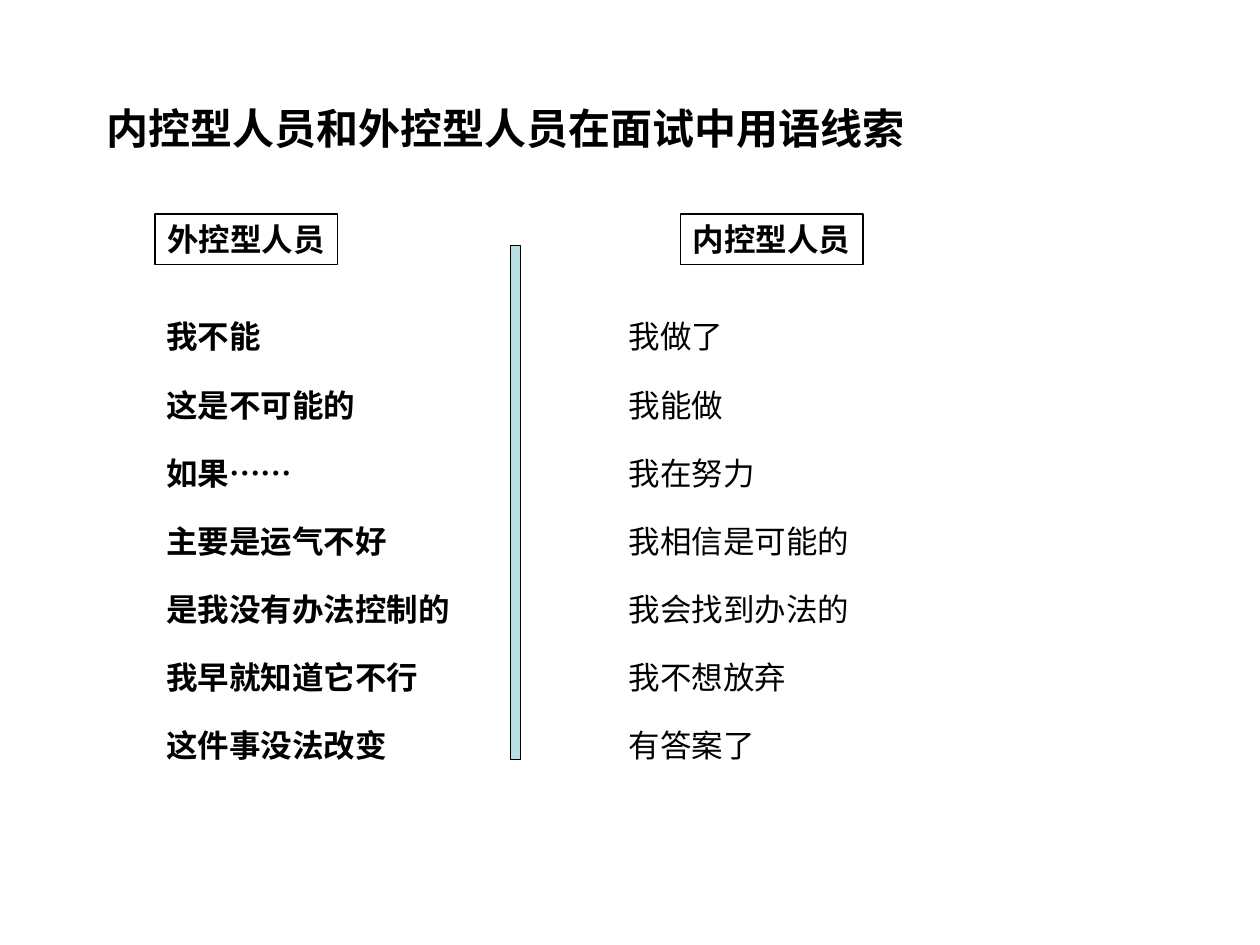
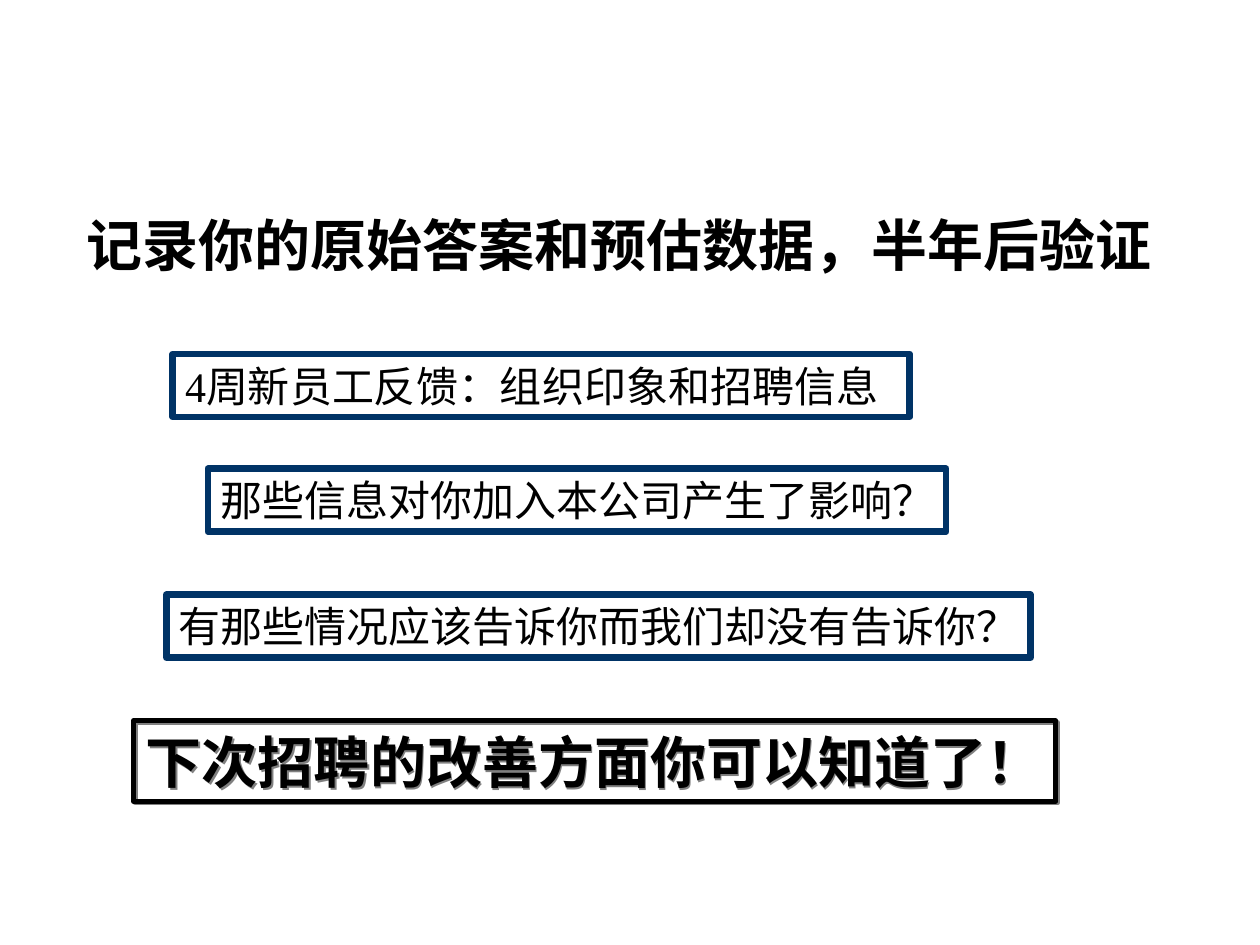
from lxml.etree import SubElement
from pptx import Presentation
from pptx.dml.color import RGBColor
from pptx.enum.shapes import MSO_SHAPE as SHAPE
from pptx.enum.text import MSO_ANCHOR as ANCHOR, PP_ALIGN as ALIGN
from pptx.oxml.ns import qn
from pptx.util import Emu, Pt

BLACK = RGBColor(0x00, 0x00, 0x00)
NAVY = RGBColor(0x00, 0x33, 0x66)
PALE_TEAL = RGBColor(0xBB, 0xE0, 0xE3)
SHADOW_GREY = RGBColor(0x80, 0x80, 0x80)

LATIN_FONT = "Times New Roman"
CHINESE_FONT = "Noto Sans CJK SC"
SIDE_INSET = 10
ROW_PITCH = Pt(38.9)

EXTERNAL_PHRASES = [
    "我不能", "这是不可能的", "如果……", "主要是运气不好",
    "是我没有办法控制的", "我早就知道它不行", "这件事没法改变",
]
INTERNAL_PHRASES = [
    "我做了", "我能做", "我在努力", "我相信是可能的",
    "我会找到办法的", "我不想放弃", "有答案了",
]
FEEDBACK_QUESTIONS = [
    ("4周新员工反馈：组织印象和招聘信息", (137, 281, 585, 50)),
    ("那些信息对你加入本公司产生了影响？", (165, 372, 586, 50)),
    ("有那些情况应该告诉你而我们却没有告诉你？", (132, 472, 686, 50)),
]


def px(length):
    """Turn px, 100 to the inch, into EMU."""
    return Emu(length * 9144)


def place(box):
    return [px(length) for length in box]


def write(shape, lines, size, bold=False, font_name=LATIN_FONT, line_spacing=None,
          anchor=ANCHOR.MIDDLE):
    """Fill a shape with one left-aligned paragraph for each line."""
    frame = shape.text_frame
    frame.word_wrap = True
    frame.vertical_anchor = anchor
    frame.margin_left = px(SIDE_INSET)
    frame.margin_right = frame.margin_top = frame.margin_bottom = 0
    frame.text = "\n".join(lines)
    for paragraph in frame.paragraphs:
        paragraph.alignment = ALIGN.LEFT
        paragraph.line_spacing = line_spacing
        for run in paragraph.runs:
            font = run.font
            font.name, font.size, font.bold = font_name, Pt(size), bold
            font.color.rgb = BLACK
            east_asian = SubElement(font._element, qn("a:ea"))
            east_asian.set("typeface", CHINESE_FONT)


def add_title(slide, box, text, size):
    write(slide.shapes.add_textbox(*place(box)), [text], size, bold=True)


def add_rectangle(slide, box, line_color, line_width, fill_color=None):
    rectangle = slide.shapes.add_shape(SHAPE.RECTANGLE, *place(box))
    rectangle.shadow.inherit = False
    rectangle.line.color.rgb = line_color
    rectangle.line.width = Pt(line_width)
    if fill_color is None:
        rectangle.fill.background()
    else:
        rectangle.fill.solid()
        rectangle.fill.fore_color.rgb = fill_color
    return rectangle


def add_drop_shadow(shape):
    effects = shape._element.spPr.find(qn("a:effectLst"))
    shadow = SubElement(effects, qn("a:outerShdw"), dist=str(Pt(1.4)), dir="2700000",
                        algn="ctr", rotWithShape="0")
    SubElement(shadow, qn("a:srgbClr"), val=str(SHADOW_GREY))


def add_phrase_column(slide, box, heading, heading_offset, phrases, bold):
    """Place a framed heading at the top of the box and the phrases below it."""
    left, top, width, height = box
    label = add_rectangle(slide, (left + heading_offset, top, 145, 40), BLACK, 1)
    write(label, [heading], 18, bold=True)
    phrase_box = slide.shapes.add_textbox(*place((left, top + 58, width, height - 58)))
    write(phrase_box, phrases, 18, bold, CHINESE_FONT, ROW_PITCH, ANCHOR.TOP)


def build_wording_clues(slide):
    add_title(slide, (75, 76, 681, 50), "内控型人员和外控型人员在面试中用语线索", 24)
    add_rectangle(slide, (405, 195, 8, 408), BLACK, 0.75, PALE_TEAL)
    add_phrase_column(slide, (122, 170, 255, 438), "外控型人员", 1, EXTERNAL_PHRASES, True)
    add_phrase_column(slide, (489, 170, 195, 438), "内控型人员", 51, INTERNAL_PHRASES, False)


def build_follow_up(slide):
    add_title(slide, (59, 162, 865, 64), "记录你的原始答案和预估数据，半年后验证", 32)
    for question, box in FEEDBACK_QUESTIONS:
        write(add_rectangle(slide, box, NAVY, 3.75), [question], 24)
    conclusion = add_rectangle(slide, (106, 572, 732, 64), BLACK, 2.75)
    add_drop_shadow(conclusion)
    write(conclusion, ["下次招聘的改善方面你可以知道了！"], 32, bold=True)


def main():
    presentation = Presentation()
    presentation.slide_width, presentation.slide_height = px(1000), px(750)
    blank_layout = presentation.slide_layouts[6]
    for build in (build_wording_clues, build_follow_up):
        build(presentation.slides.add_slide(blank_layout))
    presentation.save("out.pptx")


if __name__ == "__main__":
    main()
